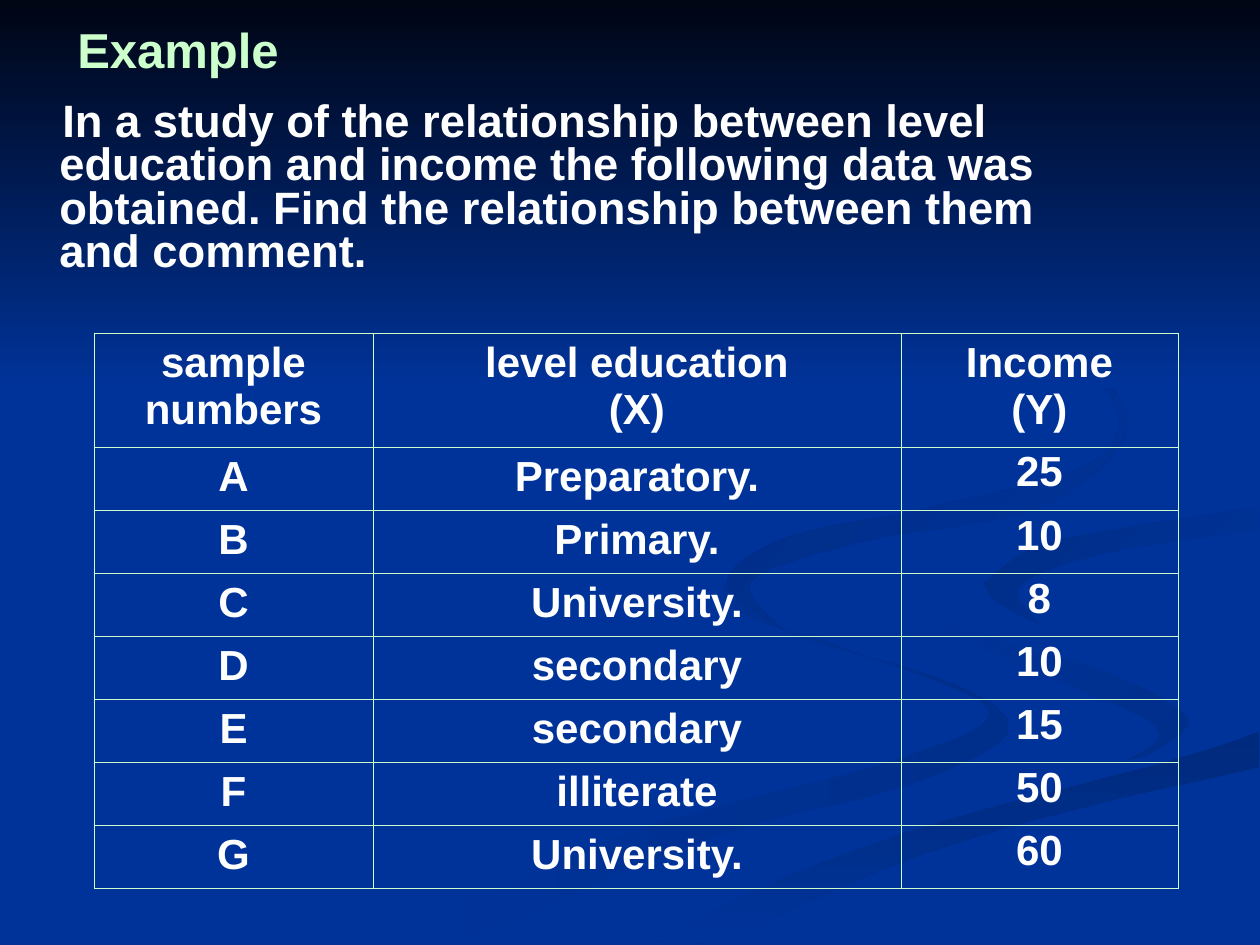
"""Build the example slide relating level of education to income."""
import pptx
import pptx.dml.color
import pptx.enum.text
import pptx.oxml
import pptx.oxml.ns
import pptx.util

PX = 914400 // 126
PAGE_WIDTH, PAGE_HEIGHT = 1260, 945
THEME = {
    "font": "Arial", "title_size": 28, "body_size": 25.9, "table_size": 24,
    "blue": "003399", "night": "000514", "text": "FFFFFF", "accent": "CCFFCC",
    "shade_wave": "002E8B", "shade_stream": "002A7D",
    "shade_bend": "002D86", "shade_hook": "002B82",
}
RIGHTWARD, DIAGONAL, DOWNWARD = 0, 315, 270
rgb = pptx.dml.color.RGBColor.from_string


def smooth_curve(knots, steps=6):
    """Return points on a Catmull-Rom curve through the knots."""
    padded = [knots[0], *knots, knots[-1]]
    points = [knots[0]]
    for before, start, end, after in zip(padded, padded[1:], padded[2:], padded[3:]):
        for step in range(1, steps + 1):
            t = step / steps
            points.append(tuple(
                round(b + (c - a) * t / 2 + (2 * a - 5 * b + 4 * c - d) * t**2 / 2
                      + (3 * b - a - 3 * c + d) * t**3 / 2)
                for a, b, c, d in zip(before, start, end, after)))
    return points


def style_text(frame, size, color):
    """Give every run in the frame the theme font, a size and a colour."""
    for para in frame.paragraphs:
        for span in para.runs:
            span.font.name = THEME["font"]
            span.font.size = pptx.util.Pt(THEME[size])
            span.font.bold = True
            span.font.color.rgb = rgb(THEME[color])


deck = pptx.Presentation()
deck.slide_width = PAGE_WIDTH * PX
deck.slide_height = PAGE_HEIGHT * PX
page = deck.slides.add_slide(deck.slide_layouts[6])
page.background.fill.solid()
page.background.fill.fore_color.rgb = rgb(THEME["blue"])

edge_knots = {
    "wave_outer": [(378, 944), (629, 833), (900, 759), (989, 709), (859, 654),
                   (740, 613), (723, 580)],
    "wave_inner": [(723, 580), (789, 632), (954, 684), (1008, 732), (908, 785),
                   (711, 838), (455, 944)],
    "curl_outer": [(914, 585), (956, 627), (1097, 668), (1188, 718), (1148, 756)],
    "curl_inner": [(1126, 762), (1156, 726), (1027, 668), (932, 622), (914, 585)],
    "stream_upper": [(654, 941), (794, 873), (964, 815), (1159, 764), (1259, 732)],
    "stream_lower": [(1259, 767), (1034, 820), (876, 872), (719, 944)],
    "ribbon_lower": [(1148, 756), (983, 799), (780, 862), (601, 944)],
    "ribbon_right": [(1259, 678), (1091, 641), (990, 596), (984, 583)],
    "ribbon_upper": [(1259, 488), (1072, 518), (951, 544), (914, 585)],
    "bend_upper": [(984, 583), (1036, 547), (1131, 527), (1259, 507)],
    "bend_lower": [(1259, 529), (1106, 553), (1019, 587), (1041, 625)],
    "bend_tail": [(1041, 625), (997, 602), (984, 583)],
    "hook_outer": [(960, 294), (1089, 367), (1126, 433), (1040, 507), (861, 542),
                   (751, 581), (784, 630)],
    "hook_inner": [(784, 630), (727, 582), (788, 537), (924, 509), (1096, 460),
                   (1104, 386), (960, 294)],
}
edges = {name: smooth_curve(knots) for name, knots in edge_knots.items()}
edges["sky"] = [(0, 0), (0, 388), (PAGE_WIDTH, 388), (PAGE_WIDTH, 0)]

swirls = [
    (["wave_outer", "wave_inner"], "blue", "shade_wave", RIGHTWARD),
    (["curl_outer", "curl_inner"], "blue", "shade_wave", DIAGONAL),
    (["stream_upper", "stream_lower"], "shade_stream", "blue", DOWNWARD),
    (["curl_outer", "ribbon_lower", "stream_upper", "ribbon_right", "bend_upper",
      "ribbon_upper"], "blue", "blue", RIGHTWARD),
    (["bend_upper", "bend_lower", "bend_tail"], "shade_bend", "blue", DIAGONAL),
    (["hook_outer", "hook_inner"], "shade_hook", "blue", DIAGONAL),
    (["sky"], "night", "blue", DOWNWARD),
]
for edge_names, start_color, end_color, direction in swirls:
    outline = [point for name in edge_names for point in edges[name]]
    builder = page.shapes.build_freeform(*outline[0], scale=PX)
    builder.add_line_segments(outline[1:], close=True)
    swirl = builder.convert_to_shape()
    swirl.shadow.inherit = False
    swirl.line.fill.background()
    swirl.fill.gradient()
    swirl.fill.gradient_angle = direction
    for stop, color in zip(swirl.fill.gradient_stops, (start_color, end_color)):
        stop.color.rgb = rgb(THEME[color])

question = (
    "In a study of the relationship between level education and income the following "
    "data was obtained. Find the relationship between them and comment."
)
text_frames = []
for left, top, width, height, text, size, color in [
    (65, 0, 1134, 97, "Example", "title_size", "accent"),
    (0, 96, 1134, 198, question, "body_size", "text"),
]:
    box = page.shapes.add_textbox(left * PX, top * PX, width * PX, height * PX)
    box.text_frame.word_wrap = True
    box.text_frame.text = text
    style_text(box.text_frame, size, color)
    text_frames.append(box.text_frame)

title, body = text_frames
title.vertical_anchor = pptx.enum.text.MSO_ANCHOR.MIDDLE
para = body.paragraphs[0]
para.line_spacing = 0.8
para_properties = para._p.get_or_add_pPr()
para_properties.set("marL", str(47 * PX))
para_properties.set("indent", str(3 * PX))

header = ("sample\vnumbers", "level education\v(X)", "Income\v(Y)")
levels = ["Preparatory.", "Primary.", "University.", "secondary", "secondary",
          "illiterate", "University."]
incomes = [25, 10, 8, 10, 15, 50, 60]
records = [header, *zip("ABCDEFG", levels, map(str, incomes))]
column_widths = [279, 528, 277]
row_heights = [114] + [63] * len(incomes)
table = page.shapes.add_table(
    len(records), len(header), 94 * PX, 333 * PX,
    sum(column_widths) * PX, sum(row_heights) * PX).table
table.first_row = False
table.horz_banding = False
for column, width in zip(table.columns, column_widths):
    column.width = width * PX
for row, height in zip(table.rows, row_heights):
    row.height = height * PX

for row_index, record in enumerate(records):
    for column_index, text in enumerate(record):
        cell = table.cell(row_index, column_index)
        cell.text_frame.text = text
        cell.text_frame.paragraphs[0].alignment = pptx.enum.text.PP_ALIGN.CENTER
        style_text(cell.text_frame, "table_size", "text")
        is_income = row_index > 0 and column_index == 2
        if is_income:
            cell.margin_top = 2 * PX
        cell_properties = cell._tc.get_or_add_tcPr()
        for side in ("lnL", "lnR", "lnT", "lnB"):
            cell_properties.append(pptx.oxml.parse_xml(
                f'<a:{side} {pptx.oxml.ns.nsdecls("a")} w="5715"><a:solidFill>'
                f'<a:srgbClr val="{THEME["accent"]}"/></a:solidFill></a:{side}>'))
        cell.fill.background()

deck.save("out.pptx")
